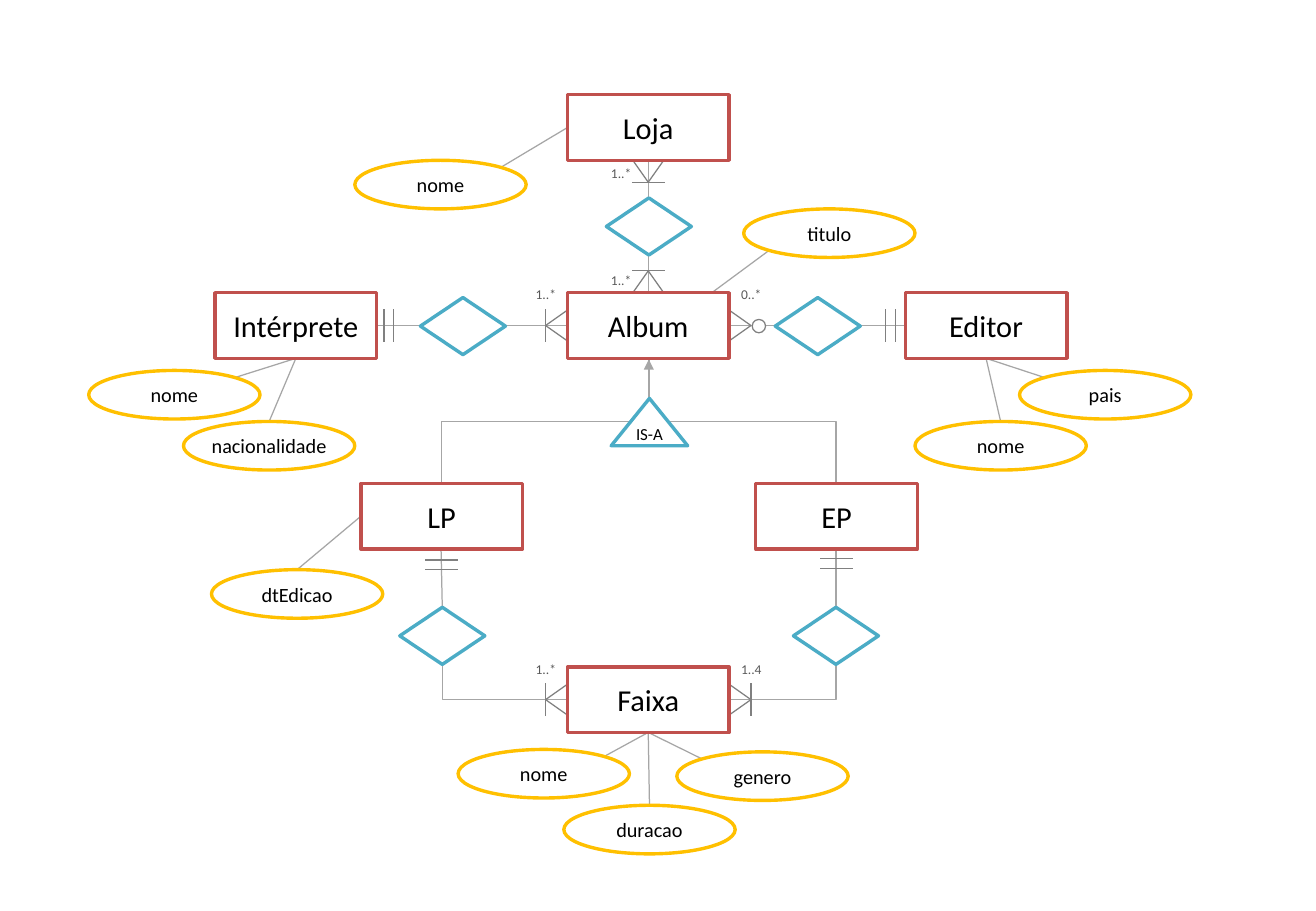
from pptx import Presentation
from pptx.dml.color import RGBColor
from pptx.enum.shapes import MSO_CONNECTOR as LINK, MSO_SHAPE as SHAPE
from pptx.enum.text import MSO_ANCHOR, PP_ALIGN
from pptx.oxml.ns import qn
from pptx.util import Inches, Pt
from lxml.etree import SubElement

COLORS = {"paper": "FFFFFF", "ink": "000000", "entity": "C0504D",
          "field": "FFC000", "relation": "4BACC6", "link": "A6A6A6",
          "mark": "808080", "label": "595959"}
BOX_W, BOX_H = 1.33, 0.54
OVAL_W, OVAL_H = 1.41, 0.4
GEM_W, GEM_H = 0.7, 0.47

# Outward direction of each side, and label offset from the entity corner
SIDES = {"left": (-1, 0, -0.36, -0.1), "right": (1, 0, 1.33, -0.1),
         "top": (0, -1, 0.26, -0.22), "bottom": (0, 1, 0.26, 0.53)}

# Entity: left, top, fields (text, offset, anchor on entity, anchor on oval)
MID = (0.5, 1)
ENTITIES = {
    "Loja": (4.67, 0.78, [("nome", (-1.75, 0.54), (0, 0.5), (0.85, 0.15))]),
    "Album": (4.67, 2.41, [("titulo", (1.45, -0.69), (0.8, 0.17), (0.15, 0.85))]),
    "Intérprete": (1.77, 2.41, [("nome", (-1.04, 0.64), MID, (0.85, 0.15)),
                                ("nacionalidade", (-0.26, 1.06), MID, (0.5, 0))]),
    "Editor": (7.45, 2.41, [("nome", (0.08, 1.06), MID, (0.5, 0)),
                            ("pais", (0.94, 0.64), MID, (0.15, 0.15))]),
    "LP": (2.97, 3.98, [("dtEdicao", (-1.23, 0.71), (0, 0.5), (0.5, 0))]),
    "EP": (6.22, 3.98, []),
    "Faixa": (4.67, 5.49, [("nome", (-0.9, 0.68), MID, (0.85, 0.15)),
                           ("duracao", (-0.03, 1.14), MID, (0.5, 0)),
                           ("genero", (0.9, 0.7), MID, (0.15, 0.15))]),
}

# Relation: left, top of the diamond
GEMS = [(4.99, 1.63), (3.46, 2.45), (6.38, 2.45), (3.29, 5), (6.53, 5)]
TIES = [(5.34, 1.32, 5.34, 1.63), (5.34, 2.1, 5.34, 2.41),
        (3.1, 2.68, 3.46, 2.68), (4.16, 2.68, 4.67, 2.68),
        (6, 2.68, 6.38, 2.68), (7.08, 2.68, 7.45, 2.68),
        (3.63, 4.53, 3.64, 5), (6.88, 4.53, 6.88, 5)]
MANY = [("Loja", "bottom", "1..*"), ("Album", "top", "1..*"),
        ("Album", "left", "1..*"), ("Album", "right", "0..*"),
        ("Faixa", "left", "1..*"), ("Faixa", "right", "1..4")]
ONE = [("Intérprete", "right", 0.1), ("Editor", "left", 0.12),
       ("LP", "bottom", 0.13), ("EP", "bottom", 0.12)]


def paint(hue):
    """Return the named colour."""
    return RGBColor.from_string(COLORS[hue])


def join(slide, x1, y1, x2, y2, hue="link", kind=LINK.STRAIGHT):
    """Draw a thin connector between two points."""
    line = slide.shapes.add_connector(kind, Inches(x1), Inches(y1), Inches(x2), Inches(y2))
    line.line.color.rgb = paint(hue)
    line.line.width = Pt(0.75)
    SubElement(line._element.spPr, qn("a:effectLst"))
    return line


def elbow(slide, x1, y1, x2, y2, preset):
    """Draw a bent connector that leaves its start downwards."""
    run, drop = abs(x2 - x1), y2 - y1
    left, top = (x1 + x2 - drop) / 2, (y1 + y2 - run) / 2
    line = join(slide, left, top, left + drop, top + run, kind=LINK.ELBOW)
    props = line._element.spPr
    frame = props.find(qn("a:xfrm"))
    frame.set("rot", str((270 if x2 > x1 else 90) * 60000))
    if x2 > x1:
        frame.set("flipH", "1")
    props.find(qn("a:prstGeom")).set("prst", preset)
    return line


def node(slide, kind, box, hue, text="", size=12, width=2):
    """Draw an outlined shape with optional centred text."""
    shape = slide.shapes.add_shape(kind, *[Inches(v) for v in box])
    shape.shadow.inherit = False
    shape.fill.solid()
    shape.fill.fore_color.rgb = paint("paper")
    shape.line.color.rgb = paint(hue)
    shape.line.width = Pt(width)
    if text:
        write(shape, text, size, "ink")
        shape.text_frame.vertical_anchor = MSO_ANCHOR.MIDDLE
        shape.text_frame.paragraphs[0].alignment = PP_ALIGN.CENTER


def write(shape, text, size, hue):
    """Set one line of text and its font."""
    frame = shape.text_frame
    frame.word_wrap = False
    frame.text = text
    font = frame.paragraphs[0].runs[0].font
    font.name, font.size = "Calibri", Pt(size)
    font.color.rgb = paint(hue)


def entity(slide, name, left, top, fields):
    """Draw an entity with its linked fields around it."""
    for text, (dx, dy), (ax, ay), (bx, by) in fields:
        x, y = left + dx, top + dy
        join(slide, left + ax * BOX_W, top + ay * BOX_H, x + bx * OVAL_W, y + by * OVAL_H)
        node(slide, SHAPE.OVAL, (x, y, OVAL_W, OVAL_H), "field", text)
    node(slide, SHAPE.FLOWCHART_PROCESS, (left, top, BOX_W, BOX_H), "entity", name, 18)


def spot(name, side, gap):
    """Return the point at a gap outside an entity, and the direction."""
    left, top = ENTITIES[name][:2]
    dx, dy = SIDES[side][:2]
    x = left + BOX_W / 2 + dx * (BOX_W / 2 + gap)
    y = top + BOX_H / 2 + dy * (BOX_H / 2 + gap)
    return x, y, dx, dy


def bar(slide, name, side, gap):
    """Draw a stroke across a link."""
    x, y, dx, dy = spot(name, side, gap)
    px, py = 0.135 * dy, 0.135 * dx
    join(slide, x - px, y - py, x + px, y + py, "mark")


def many(slide, name, side, text):
    """Draw a crow's foot with its bar or ring, and its label."""
    x, y, dx, dy = spot(name, side, 0.18)
    for turn in (-0.12, 0.12):
        join(slide, x, y, x - 0.17 * dx + turn * dy, y - 0.17 * dy + turn * dx, "mark")
    if text.startswith("0"):
        x, y = spot(name, side, 0.24)[:2]
        node(slide, SHAPE.OVAL, (x - 0.05, y - 0.05, 0.11, 0.11), "mark", width=0.75)
    else:
        bar(slide, name, side, 0.18)
    left, top = ENTITIES[name][:2]
    lx, ly = SIDES[side][2:]
    label = slide.shapes.add_textbox(Inches(left + lx), Inches(top + ly), Inches(0.37), Inches(0.24))
    write(label, text, 8, "label")


def one(slide, name, side, gap):
    """Draw the double stroke for exactly one."""
    for step in (-0.04, 0.04):
        bar(slide, name, side, gap + step)


def branch(slide, x, top, low):
    """Draw the IS-A triangle with its tree from Album to LP and EP."""
    for end in (3.63, 6.88):
        line = elbow(slide, x, top, end, low, "bentConnector3")
    SubElement(line.line._get_or_add_ln(), qn("a:headEnd"), type="triangle")
    node(slide, SHAPE.ISOSCELES_TRIANGLE, (x - 0.31, top + 0.32, 0.63, 0.39),
         "relation", "IS-A", 10)


def diagram(slide):
    """Draw the whole entity diagram, links first."""
    branch(slide, 5.34, 2.96, 3.98)
    elbow(slide, 3.64, 5.47, 4.67, 5.76, "bentConnector2")
    elbow(slide, 6.88, 4.53, 6, 5.76, "bentConnector2")
    for tie in TIES:
        join(slide, *tie)
    for left, top in GEMS:
        node(slide, SHAPE.FLOWCHART_DECISION, (left, top, GEM_W, GEM_H), "relation")
    for end in ONE:
        one(slide, *end)
    for end in MANY:
        many(slide, *end)
    for name, spot_and_fields in ENTITIES.items():
        entity(slide, name, *spot_and_fields)


deck = Presentation()
deck.slide_width, deck.slide_height = Inches(10.83), Inches(7.5)
diagram(deck.slides.add_slide(deck.slide_layouts[6]))
deck.save("out.pptx")
